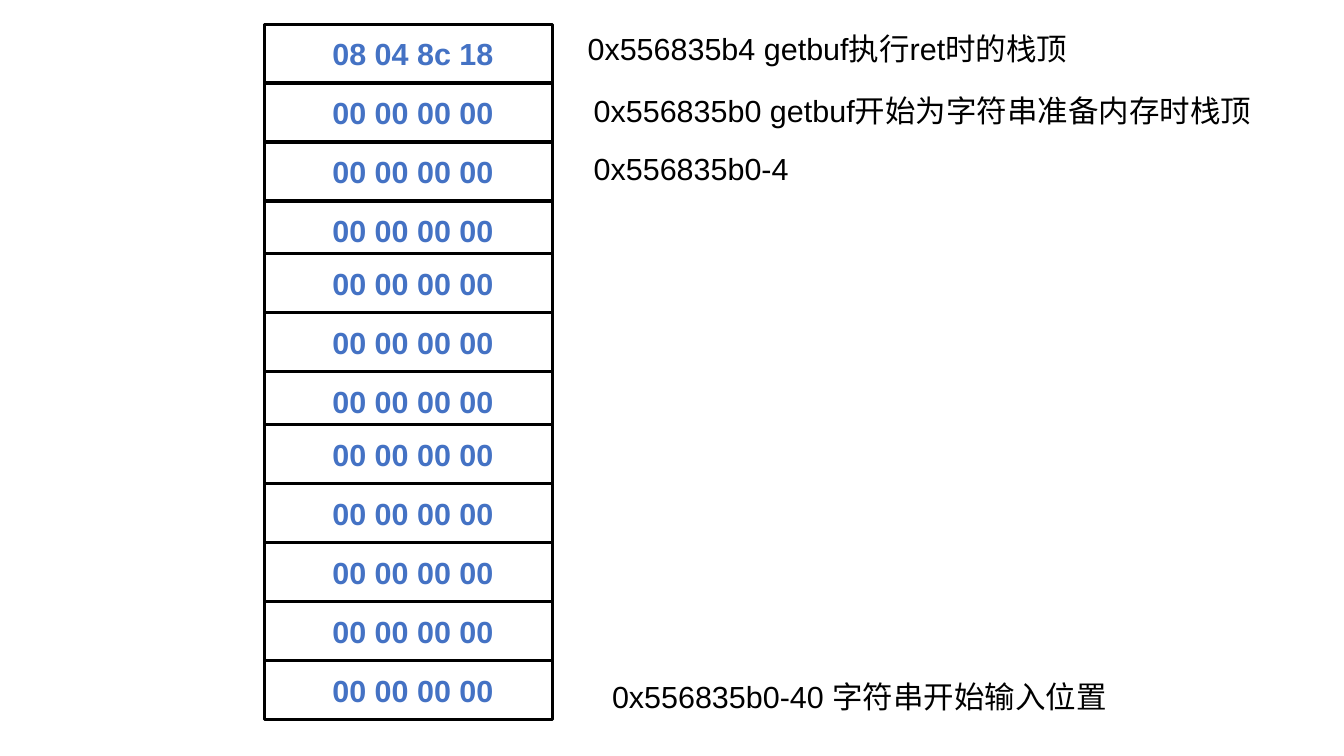
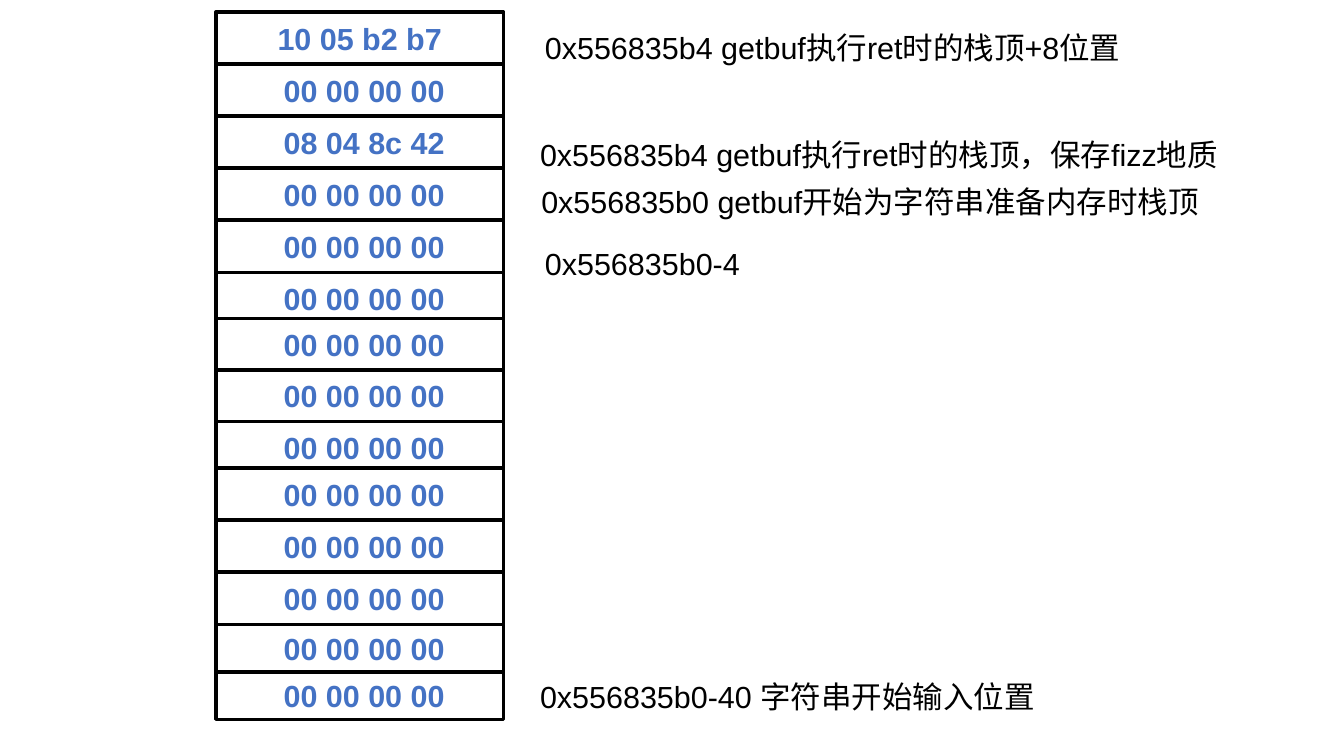
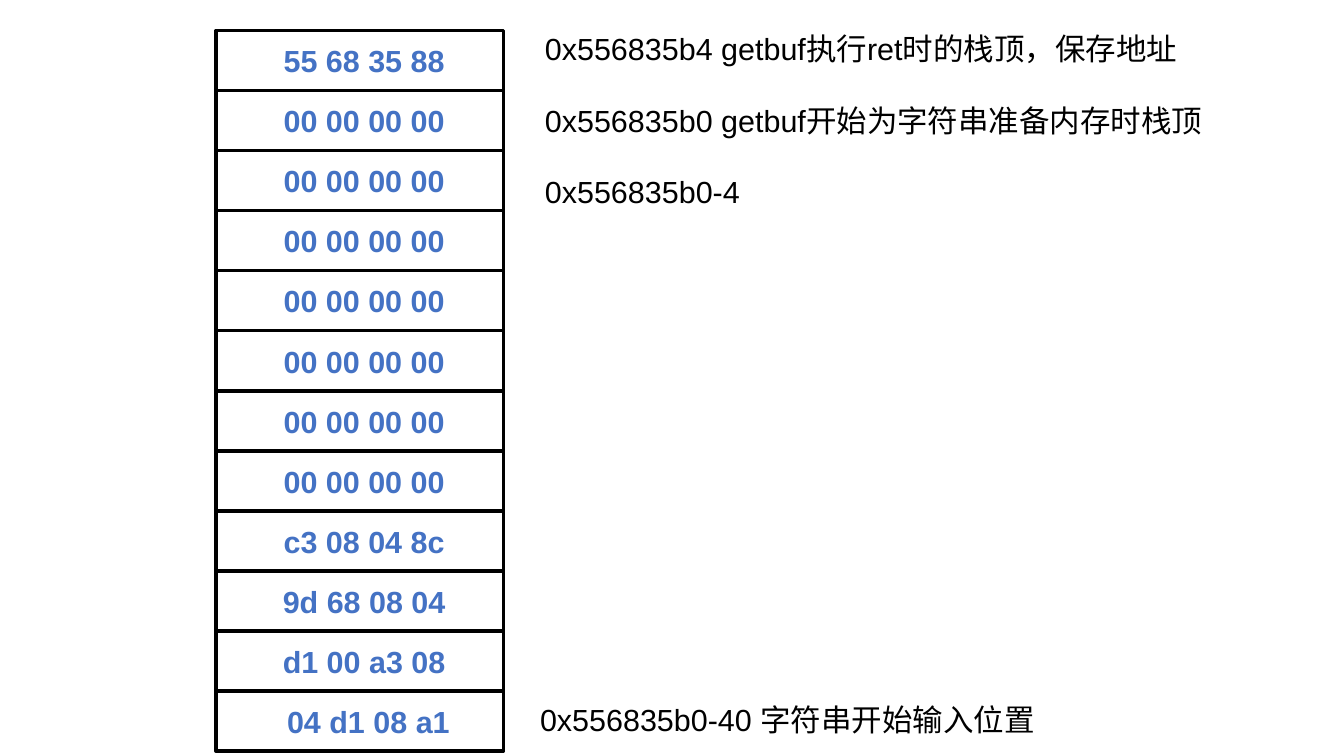
from pptx import Presentation
from pptx.dml.color import RGBColor
from pptx.enum.shapes import MSO_SHAPE as SHAPE
from pptx.enum.text import MSO_ANCHOR as ANCHOR, PP_ALIGN as ALIGN
from pptx.util import Inches, Pt

SLIDE_W, SLIDE_H = 11.02, 6.2
CELL_W, LABEL_W, LABEL_H = 2.36, 6.06, 0.4
INSET, WORD_SHIFT = 0.1, 0.07
BLACK, WHITE, BLUE = "000000", "FFFFFF", "4472C4"
WORD_FONT = {"name": "Arial", "size": Pt(18), "bold": True}
LABEL_FONT = {"name": "Arial", "size": Pt(18)}

ZERO = "00 00 00 00"
RET = "0x556835b4 getbuf执行ret时的栈顶"
BUFFER = "0x556835b0 getbuf开始为字符串准备内存时栈顶"
BELOW = "0x556835b0-4"
INPUT = "0x556835b0-40 字符串开始输入位置"

# blocks: (top, bottom, words), equal rows inside each block
# labels: (text, distance from the stack's left edge, top)
STACKS = [
    {"left": 2.17,
     "blocks": [(0.2, 2.13, ["08 04 8c 18"] + [ZERO] * 3),
                (2.08, 3.53, [ZERO] * 3),
                (3.48, 5.9, [ZERO] * 5)],
     "labels": [(RET, 2.55, 0.2), (BUFFER, 2.6, 0.71),
                (BELOW, 2.6, 1.18), (INPUT, 2.75, 5.51)]},
    {"left": 1.77,
     "blocks": [(0.1, 2.66, ["10 05 b2 b7", ZERO, "08 04 8c 42"] + [ZERO] * 3),
                (2.61, 3.88, [ZERO] * 3),
                (3.84, 5.12, [ZERO] * 3),
                (5.12, 5.9, [ZERO] * 2)],
     "labels": [(RET + "+8位置", 2.6, 0.19),
                (RET + ",保存fizz地质".replace(",", "，"), 2.56, 1.07),
                (BUFFER, 2.57, 1.45), (BELOW, 2.6, 1.96), (INPUT, 2.56, 5.51)]},
    {"left": 1.77,
     "blocks": [(0.25, 6.16, ["55 68 35 88"] + [ZERO] * 7 +
                 ["c3 08 04 8c", "9d 68 08 04", "d1 00 a3 08", "04 d1 08 a1"])],
     "labels": [(RET + "，保存地址", 2.6, 0.2), (BUFFER, 2.6, 0.79),
                (BELOW, 2.6, 1.37), (INPUT, 2.56, 5.7)]},
]
SHIFTS = {"10 05 b2 b7": 0, "04 d1 08 a1": 2 * WORD_SHIFT}


def rgb(color):
    """Turn a hex string into a colour."""
    return RGBColor.from_string(color)


def write(sp, text, font, color):
    """Put one line of formatted text in a shape and return its paragraph."""
    p = sp.text_frame.paragraphs[0]
    r = p.add_run()
    r.text = text
    for name, value in font.items():
        setattr(r.font, name, value)
    r.font.color.rgb = rgb(color)
    return p


def add_cell(slide, left, top, height, word):
    """Draw one memory word of the stack."""
    sp = slide.shapes.add_shape(SHAPE.RECTANGLE, *map(Inches, (left, top, CELL_W, height)))
    sp.shadow.inherit = False
    sp.fill.solid()
    sp.fill.fore_color.rgb = rgb(WHITE)
    sp.line.color.rgb = rgb(BLACK)
    sp.line.width = Pt(2)
    tf = sp.text_frame
    tf.vertical_anchor = ANCHOR.MIDDLE
    tf.margin_left = Inches(INSET + SHIFTS.get(word, WORD_SHIFT))
    write(sp, word, WORD_FONT, BLUE).alignment = ALIGN.CENTER


def add_label(slide, left, top, text):
    """Write an address note beside the stack."""
    sp = slide.shapes.add_textbox(*map(Inches, (left, top, LABEL_W, LABEL_H)))
    sp.text_frame.word_wrap = True
    write(sp, text, LABEL_FONT, BLACK)


def add_stack(prs, stack):
    """Build a slide with one stack, top row first, and its notes."""
    slide = prs.slides.add_slide(prs.slide_layouts[6])
    left = stack["left"]
    for top, bottom, words in stack["blocks"]:
        height = (bottom - top) / len(words)
        for row, word in enumerate(words):
            add_cell(slide, left, top + row * height, height, word)
    for text, offset, top in stack["labels"]:
        add_label(slide, left + offset, top, text)


prs = Presentation()
prs.slide_width, prs.slide_height = Inches(SLIDE_W), Inches(SLIDE_H)
for stack in STACKS:
    add_stack(prs, stack)
prs.save("out.pptx")
